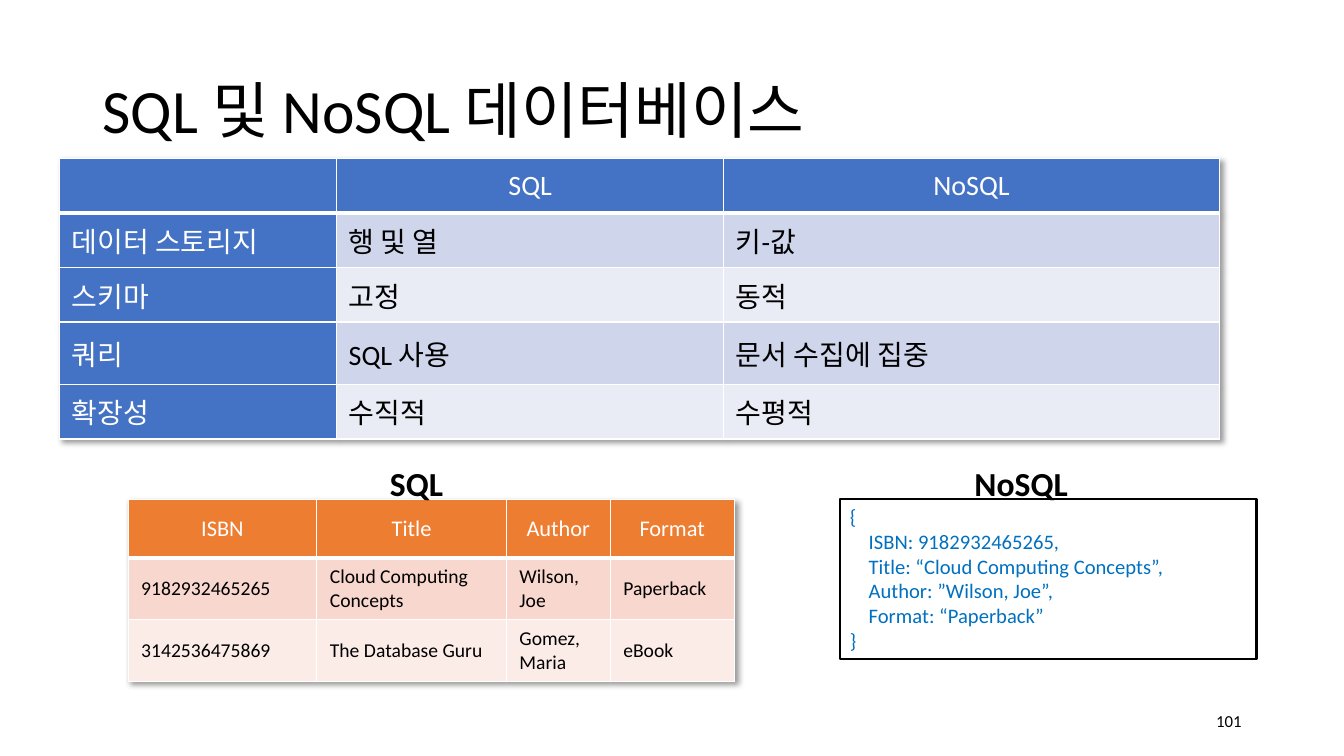
import dataclasses

import pptx
import pptx.dml.color
import pptx.enum.shapes
import pptx.enum.text
import pptx.oxml
import pptx.oxml.ns
import pptx.util

Pt = pptx.util.Pt
ALIGN = pptx.enum.text.PP_ALIGN
ANCHOR = pptx.enum.text.MSO_ANCHOR
NS = pptx.oxml.ns.nsdecls("a")
BLACK, WHITE, BLUE, ORANGE = "000000", "FFFFFF", "4472C4", "ED7D31"
SHADOW = (f'<a:effectLst {NS}><a:outerShdw blurRad="50800" dist="38100" dir="2700000" '
          'algn="tl" rotWithShape="0"><a:srgbClr val="000000"><a:alpha val="40000"/>'
          '</a:srgbClr></a:outerShdw></a:effectLst>')


@dataclasses.dataclass
class Grid:
    left: float
    top: float
    widths: list[float]
    heights: list[float]
    rows: list[list[str]]
    head_fill: str
    bands: tuple[str, str]
    head_size: float
    body_size: float
    margin: float
    first_col: bool


@dataclasses.dataclass
class Label:
    text: str
    box: tuple[float, float, float, float]
    size: float
    bold: bool = False
    align: ALIGN = ALIGN.LEFT
    anchor: ANCHOR = ANCHOR.TOP
    wrap: bool = False


GRIDS = [
    Grid(42.5, 113, [198, 276.5, 354], [39, 39, 39, 44.5, 39],
         [["", "SQL", "NoSQL"],
          ["데이터 스토리지", "행 및 열", "키-값"],
          ["스키마", "고정", "동적"],
          ["쿼리", "SQL 사용", "문서 수집에 집중"],
          ["확장성", "수직적", "수평적"]],
         BLUE, ("CFD5EA", "E9EBF5"), 20, 20, 8.64, True),
    Grid(91.5, 356.5, [134.8, 135.4, 74.2, 88.6], [42, 43.5, 43.5],
         [["ISBN", "Title", "Author", "Format"],
          ["9182932465265", "Cloud Computing Concepts", "Wilson, Joe", "Paperback"],
          ["3142536475869", "The Database Guru", "Gomez, Maria", "eBook"]],
         ORANGE, ("F8D7CE", "FCECE8"), 16, 14, 9.36, False),
]

LABELS = [
    Label("101", (678, 500.4, 216, 28.8), 12, align=ALIGN.RIGHT,
          anchor=ANCHOR.MIDDLE, wrap=True),
    Label("SQL", (271.5, 327, 61, 36), 24, bold=True),
    Label("NoSQL", (689, 327, 96.5, 36), 24, bold=True),
]

DOCUMENT = """{
    ISBN: 9182932465265,
    Title: “Cloud Computing Concepts”,
    Author: ”Wilson, Joe”,
    Format: “Paperback”
}"""


def rgb(value: str) -> pptx.dml.color.RGBColor:
    return pptx.dml.color.RGBColor.from_string(value)


def write(tf, text: str, size: float, color: str, bold: bool = False,
          align: ALIGN = ALIGN.LEFT) -> None:
    for i, line in enumerate(text.split("\n")):
        p = tf.add_paragraph() if i else tf.paragraphs[0]
        p.alignment = align
        r = p.add_run()
        r.text = line
        for name, value in {"name": "Calibri", "size": Pt(size), "bold": bold}.items():
            setattr(r.font, name, value)
        r.font.color.rgb = rgb(color)


def add_borders(cell, bottom: float) -> None:
    for side, width in {"L": 1, "R": 1, "T": 1, "B": bottom}.items():
        cell._tc.get_or_add_tcPr().append(pptx.oxml.parse_xml(
            f'<a:ln{side} {NS} w="{Pt(width)}"><a:solidFill><a:srgbClr val="{WHITE}"/>'
            f'</a:solidFill></a:ln{side}>'))


def add_grid(s, grid: Grid) -> None:
    frame = s.shapes.add_table(len(grid.heights), len(grid.widths), Pt(grid.left),
                               Pt(grid.top), Pt(sum(grid.widths)), Pt(sum(grid.heights)))
    table = frame.table
    table.first_col = grid.first_col
    table._tbl.tblPr.insert(0, pptx.oxml.parse_xml(SHADOW))
    for column, width in zip(table.columns, grid.widths):
        column.width = Pt(width)
    for i, (height, texts) in enumerate(zip(grid.heights, grid.rows)):
        table.rows[i].height = Pt(height)
        for j, text in enumerate(texts):
            cell = table.cell(i, j)
            top_row = i == 0
            heading = top_row or (grid.first_col and j == 0)
            add_borders(cell, 3 if top_row else 1)
            cell.fill.solid()
            cell.fill.fore_color.rgb = rgb(grid.head_fill if heading else grid.bands[(i - 1) % 2])
            formats = {"vertical_anchor": ANCHOR.MIDDLE,
                       "margin_left": Pt(grid.margin), "margin_right": Pt(grid.margin),
                       "margin_top": Pt(5), "margin_bottom": Pt(5)}
            for name, value in formats.items():
                setattr(cell, name, value)
            if text:
                write(cell.text_frame, text, grid.head_size if top_row else grid.body_size,
                      WHITE if heading else BLACK,
                      align=ALIGN.CENTER if top_row else ALIGN.LEFT)


def add_label(s, label: Label) -> None:
    tf = s.shapes.add_textbox(*map(Pt, label.box)).text_frame
    tf.word_wrap = label.wrap
    tf.vertical_anchor = label.anchor
    write(tf, label.text, label.size, BLACK, label.bold, label.align)


def add_title(s, text: str) -> None:
    sp = s.shapes.title
    sp.left, sp.top, sp.width, sp.height = map(Pt, (66, 28.8, 828, 104.4))
    tf = sp.text_frame
    tf.auto_size = pptx.enum.text.MSO_AUTO_SIZE.NONE
    tf.vertical_anchor = ANCHOR.MIDDLE
    write(tf, text, 44, BLACK)
    tf.paragraphs[0].line_spacing = 0.9


def add_document(s, text: str) -> None:
    sp = s.shapes.add_shape(pptx.enum.shapes.MSO_SHAPE.RECTANGLE,
                            *map(Pt, (600, 356.5, 297.5, 114)))
    sp.shadow.inherit = False
    sp.fill.background()
    sp.line.color.rgb = rgb(BLACK)
    sp.line.width = Pt(1.5)
    tf = sp.text_frame
    tf.word_wrap = True
    tf.vertical_anchor = ANCHOR.TOP
    write(tf, text, 14.7, "0070C0")


def main() -> None:
    prs = pptx.Presentation()
    prs.slide_width, prs.slide_height = Pt(960), Pt(540)
    s = prs.slides.add_slide(prs.slide_layouts[5])

    # Title
    add_title(s, "SQL 및 NoSQL 데이터베이스")

    # Comparison table and sample SQL rows
    for grid in GRIDS:
        add_grid(s, grid)

    # Page number and headings of the two samples
    for label in LABELS:
        add_label(s, label)

    # Sample NoSQL document
    add_document(s, DOCUMENT)

    prs.save("out.pptx")


if __name__ == "__main__":
    main()
